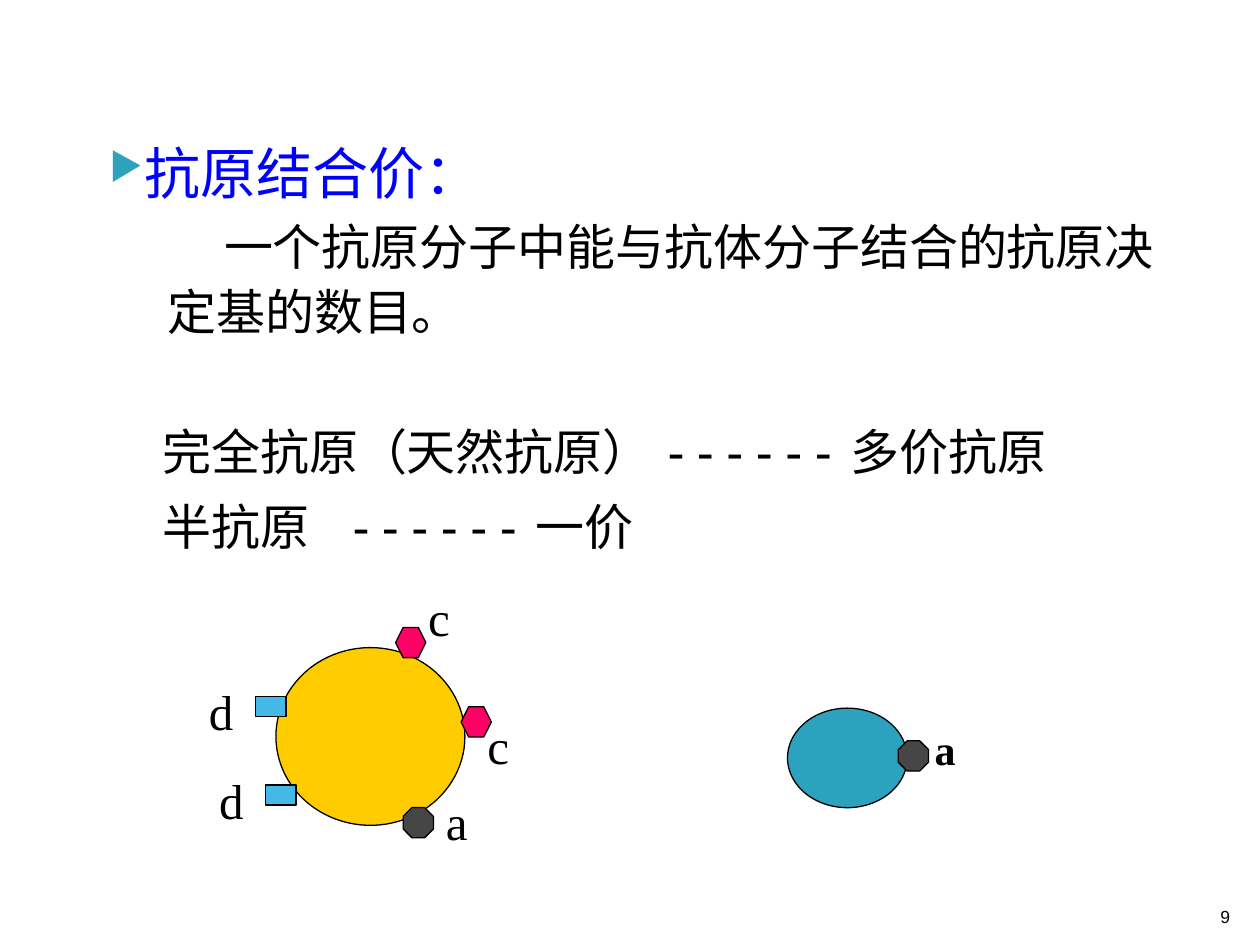
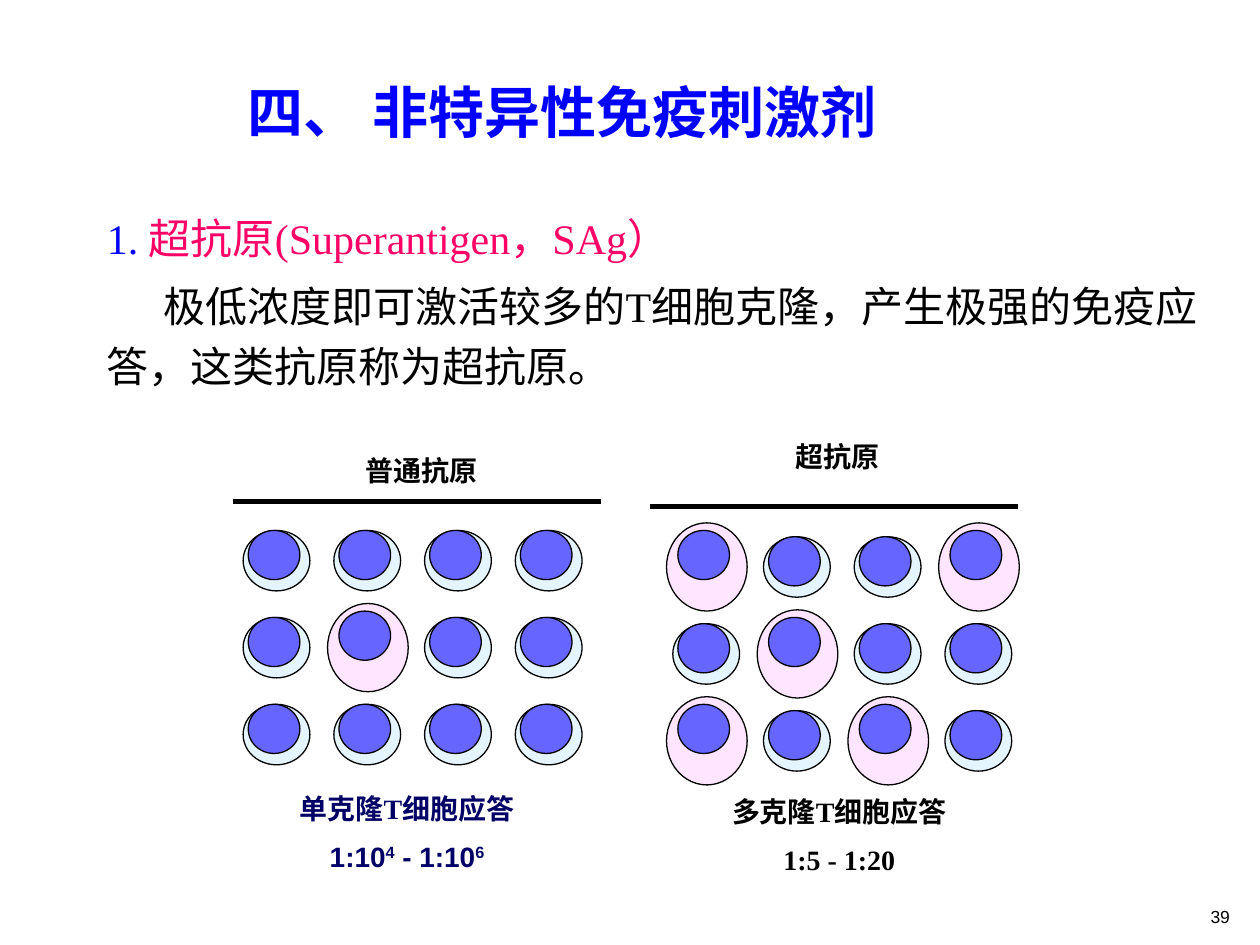
from dataclasses import dataclass
from lxml import etree
from pptx import Presentation
from pptx.dml.color import RGBColor
from pptx.enum.shapes import MSO_CONNECTOR, MSO_SHAPE
from pptx.enum.text import MSO_ANCHOR, PP_ALIGN
from pptx.oxml.ns import qn
from pptx.util import Inches, Pt

OVAL, RECT = MSO_SHAPE.OVAL, MSO_SHAPE.RECTANGLE
HEX, OCT = MSO_SHAPE.HEXAGON, MSO_SHAPE.OCTAGON
TOP, MID, LOW = MSO_ANCHOR.TOP, MSO_ANCHOR.MIDDLE, MSO_ANCHOR.BOTTOM
MIDDLE, RIGHT = PP_ALIGN.CENTER, PP_ALIGN.RIGHT


@dataclass(frozen=True)
class Theme:
    black: str = "000000"
    blue: str = "0000FF"
    navy: str = "000066"
    pink: str = "FF0066"
    teal: str = "2DA2BF"
    sky: str = "44B9E8"
    gold: str = "FFCC00"
    gray: str = "464646"
    rest: str = "CCECFF"
    active: str = "FFCCFF"
    core: str = "6666FF"
    sans: str = "Arial"
    serif: str = "Times New Roman"
    mono: str = "DejaVu Sans Mono"
    lato: str = "Lato"
    head: int = 32
    body: int = 28
    text: int = 24
    note: int = 16
    page: int = 10
    thin: float = 0.75
    bold: int = 3


T = Theme()
WIDE, HIGH = 10, 7.5

# Paragraph: runs as text or (text, changes), then font and layout keys.
HEAD = dict(font=T.mono, size=T.head, color=T.blue)
BODY = dict(font=T.mono, size=T.body, color=T.black)
TEXT = dict(font=T.serif, size=T.text, color=T.black)
NOTE = dict(font=T.sans, size=T.note, color=T.black, bold=True, align=MIDDLE)
PAGE = dict(font=T.sans, size=T.page, color=T.black, align=RIGHT)
LABEL = dict(TEXT, size=T.body)
SERIF = dict(font=T.serif)
SUP = dict(sup=True)

VALENCE = [
    dict(HEAD, runs=["抗原结合价："], left=0.4, first=-0.28, line=1.5,
         bullet="▶"),
    dict(BODY, runs=["一个抗原分子中能与抗体分子结合的抗原决定基的数目。"],
         left=0.58, first=0.45, line=Pt(37), before=3.2),
    dict(BODY, runs=["完全抗原（天然抗原）\t------\t多价抗原"],
         first=0.54, line=Pt(39), before=41, tabs=(4.53, 6.7)),
    dict(BODY, runs=["半抗原\t------\t一价"],
         first=0.54, line=Pt(39), before=4, tabs=(3.75, 6.15)),
]
# Molecule parts: shape, fill, size, places
PARTS = [
    (OVAL, T.gold, (1.5, 1.41), [(2.19, 5.14)]),
    (OVAL, T.teal, (0.95, 0.79), [(6.25, 5.62)]),
    (HEX, T.pink, (0.24, 0.24), [(3.14, 4.98), (3.66, 5.61)]),
    (RECT, T.sky, (0.24, 0.16), [(2.03, 5.53), (2.11, 6.23)]),
    (OCT, T.gray, (0.24, 0.24), [(3.2, 6.41), (7.13, 5.88)]),
]
SITES = [
    ("d", 1.56, 5.36, LABEL), ("d", 1.64, 6.07, LABEL),
    ("c", 3.3, 4.61, LABEL), ("c", 3.77, 5.63, LABEL),
    ("a", 3.44, 6.23, LABEL), ("a", 7.32, 5.69, dict(TEXT, bold=True)),
]

TITLE = [dict(HEAD, runs=["四、 ", ("非特异性免疫刺激剂", dict(font=T.lato))],
              bold=True)]
SUPER = [
    dict(TEXT, runs=[("1. ", dict(color=T.blue)),
                     ("超抗原(Superantigen，SAg）", dict(color=T.pink))],
         line=1.2),
    dict(TEXT, runs=["极低浓度即可激活较多的T细胞克隆，产生极强的免疫"
                     "应答，这类抗原称为超抗原。"],
         first=0.45, line=1.2, before=4),
]
NAVY = dict(NOTE, color=T.navy)
# Cell panels: O is an activated cell, o a resting one
PANELS = [
    dict(at=(1.93, 4.21), rule=(1.85, 3.98), rows=["oooo", "oOoo", "oooo"],
         notes=[
             ((2.05, 3.55, 2.59, 0.37), TOP, [dict(NOTE, runs=["普通抗原"])]),
             ((2.24, 6.22, 1.98, 0.77), MID, [
                 dict(NAVY, runs=["单克隆", ("T", SERIF), "细胞应答"]),
                 dict(NAVY, runs=["1:10", ("4", SUP), " - 1:10", ("6", SUP)],
                      before=8)])]),
    dict(at=(5.34, 4.26), rule=(5.16, 4.02), rows=["OooO", "oOoo", "OoOo"],
         notes=[
             ((6.15, 3.44, 1, 0.37), TOP, [dict(NOTE, runs=["超抗原"])]),
             ((5.2, 6.26, 2.92, 0.77), TOP, [
                 dict(NOTE, runs=["多克隆", ("T", SERIF), "细胞应答"]),
                 dict(NOTE, font=T.serif, runs=["1:5 - 1:20"], before=8)])]),
]
STEP = (0.72, 0.69)
RULE = 2.92
# Per cell: fill, offset and size of the body, offset of the core
CELLS = {
    "o": (T.rest, (0, 0), (0.53, 0.48), (0.04, 0)),
    "O": (T.active, (-0.05, -0.11), (0.64, 0.7), (0.04, -0.05)),
}
CORE = (0.41, 0.39)


def style(font, look):
    if "font" in look:
        font.name = look["font"]
    if "size" in look:
        font.size = Pt(look["size"])
    if "color" in look:
        font.color.rgb = RGBColor.from_string(look["color"])
    if "bold" in look:
        font.bold = look["bold"]


def add(node, tag, **attrs):
    return etree.SubElement(node, qn(tag), attrs)


def write(para, item):
    """Fill one paragraph: layout, bullet and tabs, then fonts and runs."""
    para.alignment = item.get("align")
    para.line_spacing = item.get("line")
    para.space_before = Pt(item.get("before", 0))
    props = para._p.get_or_add_pPr()
    props.set("marL", str(Inches(item.get("left", 0))))
    props.set("indent", str(Inches(item.get("first", 0))))
    if "bullet" in item:
        add(add(props, "a:buClr"), "a:srgbClr", val=T.teal)
        add(props, "a:buSzPct", val="68000")
        add(props, "a:buChar", char=item["bullet"])
    if "tabs" in item:
        tabs = add(props, "a:tabLst")
        for stop in item["tabs"]:
            add(tabs, "a:tab", pos=str(Inches(stop)), algn="l")
    style(para.font, item)
    for part in item["runs"]:
        text, look = (part, {}) if isinstance(part, str) else part
        run = para.add_run()
        run.text = text
        style(run.font, look)
        if look.get("sup"):
            run._r.get_or_add_rPr().set("baseline", "30000")


def put(slide, box, items, anchor=TOP):
    """Place a text box with one paragraph per item."""
    frame = slide.shapes.add_textbox(*map(Inches, box)).text_frame
    frame.word_wrap = True
    frame.vertical_anchor = anchor
    for i, item in enumerate(items):
        write(frame.add_paragraph() if i else frame.paragraphs[0], item)


def draw(slide, kind, at, size, fill, alpha=None):
    shape = slide.shapes.add_shape(kind, *map(Inches, (*at, *size)))
    shape.shadow.inherit = False
    shape.fill.solid()
    shape.fill.fore_color.rgb = RGBColor.from_string(fill)
    shape.line.color.rgb = RGBColor.from_string(T.black)
    shape.line.width = Pt(T.thin)
    if alpha:
        color = shape._element.spPr.find(qn("a:solidFill"))[0]
        add(color, "a:alpha", val=str(alpha * 1000))


def rule(slide, x, y):
    ends = map(Inches, (x, y, x + RULE, y))
    line = slide.shapes.add_connector(MSO_CONNECTOR.STRAIGHT, *ends)
    line.line.color.rgb = RGBColor.from_string(T.black)
    line.line.width = Pt(T.bold)
    add(line._element.spPr, "a:effectLst")


def shift(at, by):
    return at[0] + by[0], at[1] + by[1]


def panel(slide, data):
    rule(slide, *data["rule"])
    for r, row in enumerate(data["rows"]):
        for c, kind in enumerate(row):
            fill, move, size, inner = CELLS[kind]
            spot = shift(data["at"], (c * STEP[0], r * STEP[1]))
            draw(slide, OVAL, shift(spot, move), size, fill, alpha=50)
            draw(slide, OVAL, shift(spot, inner), CORE, T.core)
    for box, anchor, items in data["notes"]:
        put(slide, box, items, anchor)


def start(deck, number):
    """Add a blank slide with its page number."""
    slide = deck.slides.add_slide(deck.slide_layouts[6])
    put(slide, (WIDE - 0.54, HIGH - 0.49, 0.4, 0.4),
        [dict(PAGE, runs=[number])], LOW)
    return slide


def valence(deck):
    slide = start(deck, "9")
    put(slide, (0.65, 0.78, 8.95, 4.76), VALENCE)
    for kind, fill, size, spots in PARTS:
        for spot in spots:
            draw(slide, kind, spot, size, fill)
    for text, x, y, look in SITES:
        put(slide, (x, y, 0.4, 0.57), [dict(look, runs=[text])])


def clones(deck):
    slide = start(deck, "39")
    put(slide, (1.87, 0.47, 7.03, 0.83), TITLE, MID)
    put(slide, (0.75, 1.56, 8.86, 1.8), SUPER)
    for data in PANELS:
        panel(slide, data)


def main():
    deck = Presentation()
    deck.slide_width, deck.slide_height = Inches(WIDE), Inches(HIGH)
    valence(deck)
    clones(deck)
    deck.save("out.pptx")


if __name__ == "__main__":
    main()
